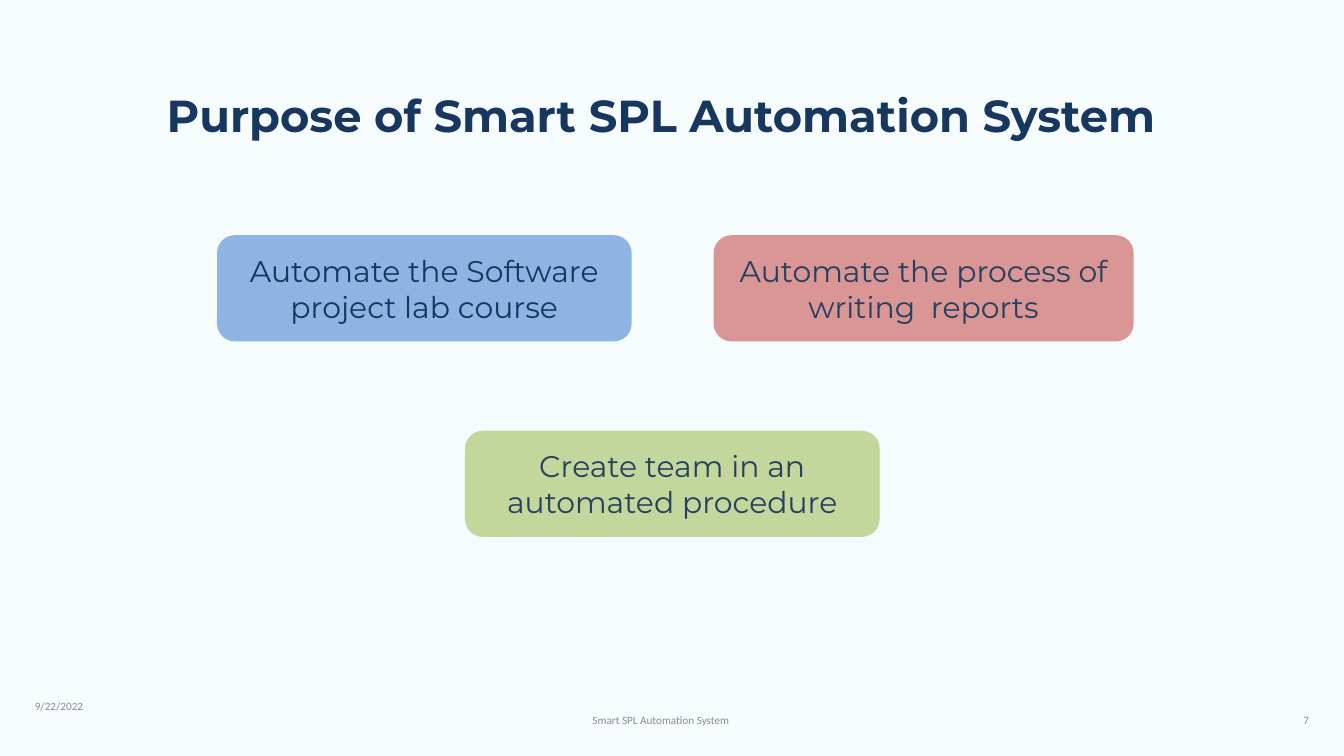
from dataclasses import dataclass

import pptx
import pptx.dml.color
import pptx.enum.shapes
import pptx.enum.text
import pptx.shapes.base
import pptx.slide
import pptx.util

Inches = pptx.util.Inches
Align = pptx.enum.text.PP_ALIGN
Anchor = pptx.enum.text.MSO_ANCHOR


@dataclass(frozen=True)
class TextStyle:
    font: str
    size: int
    color: str
    bold: bool = False


@dataclass(frozen=True)
class Theme:
    background: str = "F6FBFE"
    blue: str = "8EB4E3"
    green: str = "C3D69B"
    red: str = "D99694"
    title: TextStyle = TextStyle("Montserrat", 48, "17375E", True)
    card_navy: TextStyle = TextStyle("Montserrat", 32, "17375E")
    card_slate: TextStyle = TextStyle("Montserrat", 32, "254061")
    footer: TextStyle = TextStyle("Calibri", 12, "8C8C8C")


@dataclass(frozen=True)
class Box:
    left: float
    top: float
    width: float
    height: float

    def lengths(self) -> tuple[int, ...]:
        return tuple(map(Inches, (self.left, self.top, self.width, self.height)))


@dataclass(frozen=True)
class Label:
    text: str
    box: Box
    style: TextStyle
    align: Align = Align.LEFT
    anchor: Anchor = Anchor.MIDDLE


@dataclass(frozen=True)
class Card:
    label: Label
    fill: str


THEME = Theme()
CARD_HEIGHT = 1.58
TOP_ROW, BOTTOM_ROW = 3.5, 6.41
FOOTER_HEIGHT = 0.4

LABELS = [
    Label("Purpose of Smart SPL Automation System", Box(2.38, 1.26, 15.25, 0.91),
          THEME.title, anchor=Anchor.TOP),
    Label("9/22/2022", Box(0.42, 10.31, 2.33, FOOTER_HEIGHT), THEME.footer),
    Label("Smart SPL Automation System", Box(8.25, 10.51, 3.17, FOOTER_HEIGHT),
          THEME.footer, Align.CENTER),
    Label("7", Box(17.25, 10.51, 2.33, FOOTER_HEIGHT), THEME.footer, Align.RIGHT),
]

CARDS = [
    Card(Label("Automate the Software project lab course",
               Box(3.23, TOP_ROW, 6.17, CARD_HEIGHT), THEME.card_navy, Align.CENTER),
         THEME.blue),
    Card(Label("Automate the process of writing  reports",
               Box(10.62, TOP_ROW, 6.25, CARD_HEIGHT), THEME.card_slate, Align.CENTER),
         THEME.red),
    Card(Label("Create team in an automated procedure",
               Box(6.92, BOTTOM_ROW, 6.17, CARD_HEIGHT), THEME.card_slate, Align.CENTER),
         THEME.green),
]


def rgb(value: str) -> pptx.dml.color.RGBColor:
    return pptx.dml.color.RGBColor.from_string(value)


def write_label(shape: pptx.shapes.base.BaseShape, label: Label) -> None:
    frame = shape.text_frame
    frame.word_wrap = True
    frame.vertical_anchor = label.anchor
    paragraph = frame.paragraphs[0]
    paragraph.text = label.text
    paragraph.alignment = label.align
    font = paragraph.font
    font.name = label.style.font
    font.size = pptx.util.Pt(label.style.size)
    font.bold = label.style.bold
    font.color.rgb = rgb(label.style.color)


def add_label(slide: pptx.slide.Slide, label: Label) -> None:
    write_label(slide.shapes.add_textbox(*label.box.lengths()), label)


def add_card(slide: pptx.slide.Slide, card: Card) -> None:
    shape = slide.shapes.add_shape(
        pptx.enum.shapes.MSO_SHAPE.ROUNDED_RECTANGLE, *card.label.box.lengths())
    shape.shadow.inherit = False
    shape.fill.solid()
    shape.fill.fore_color.rgb = rgb(card.fill)
    shape.line.fill.background()
    write_label(shape, card.label)


def main() -> None:
    presentation = pptx.Presentation()
    presentation.slide_width = Inches(20)
    presentation.slide_height = Inches(11.25)
    slide = presentation.slides.add_slide(presentation.slide_layouts[6])
    slide.background.fill.solid()
    slide.background.fill.fore_color.rgb = rgb(THEME.background)
    for label in LABELS:
        add_label(slide, label)
    for card in CARDS:
        add_card(slide, card)
    presentation.save("out.pptx")


if __name__ == "__main__":
    main()
